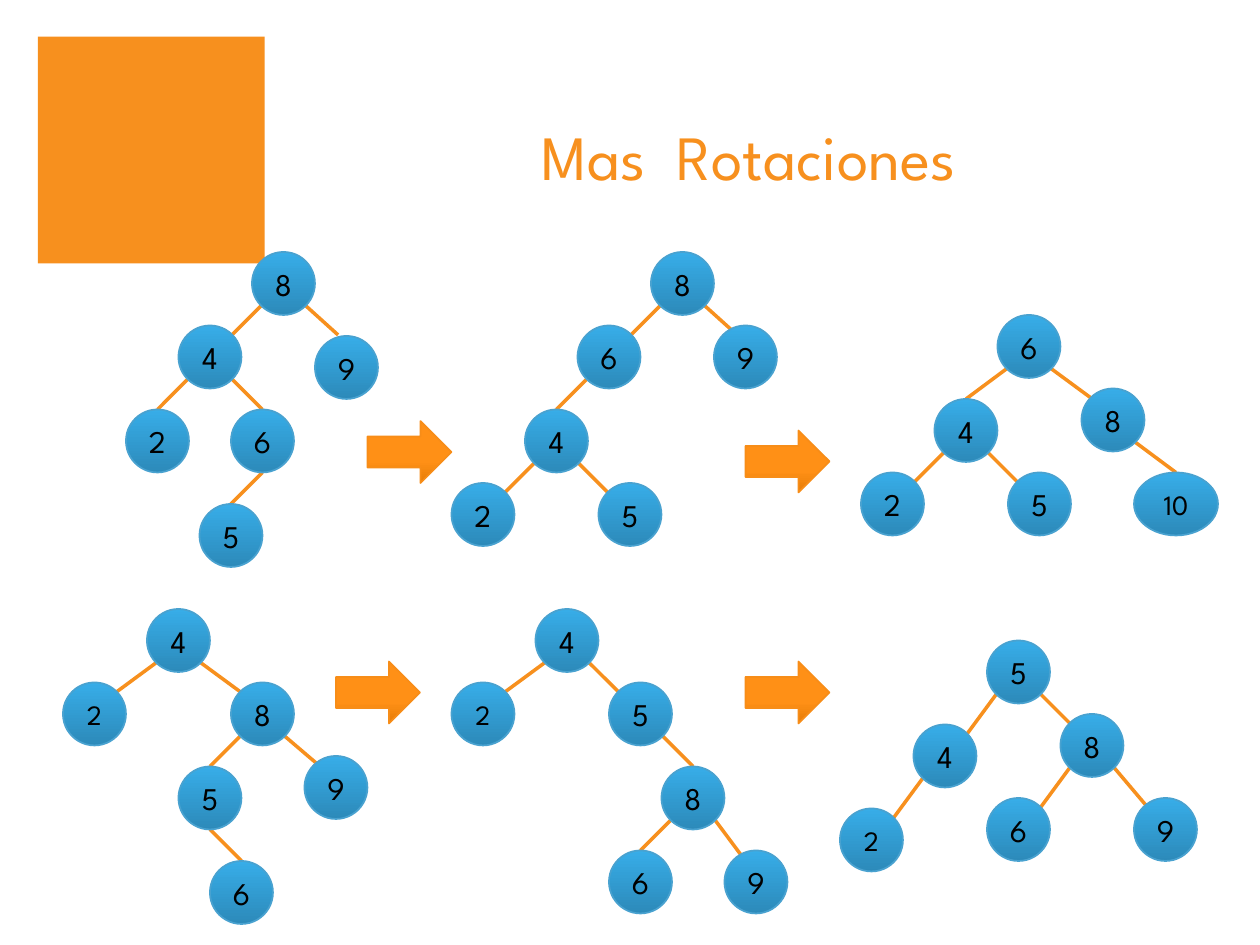
from dataclasses import dataclass

from lxml import etree
from pptx import Presentation
from pptx.dml.color import RGBColor
from pptx.enum.shapes import MSO_CONNECTOR, MSO_SHAPE
from pptx.enum.text import MSO_ANCHOR, PP_ALIGN
from pptx.oxml.ns import qn
from pptx.util import Pt

RECTANGLE, OVAL, RIGHT_ARROW = MSO_SHAPE.RECTANGLE, MSO_SHAPE.OVAL, MSO_SHAPE.RIGHT_ARROW
STRAIGHT = MSO_CONNECTOR.STRAIGHT
CENTER = PP_ALIGN.CENTER
MIDDLE, BOTTOM_ANCHOR = MSO_ANCHOR.MIDDLE, MSO_ANCHOR.BOTTOM

EMU_PER_PX = 7620
DIAMETER = 60
FONT = "League Spartan"
ORANGE = "F7901E"
BLACK = "000000"
NODE_LINE = "49A2D0"
ARROW_LINE = "F78D18"
NODE_STOPS = ((0, "2C8ABA"), (1, "37ADE8"))
ARROW_STOPS = ((0, "E67C07"), (0.35, "FF9016"))

TOP, BOTTOM = (0, -30), (0, 30)
UPPER_LEFT, UPPER_RIGHT = (-21, -21), (21, -21)
LOWER_LEFT, LOWER_RIGHT = (-21, 21), (21, 21)


@dataclass(frozen=True)
class Node:
    """A tree node with the point, relative to its centre, where its edge enters."""
    label: str
    left: int
    top: int
    entry: tuple[int, int] = TOP
    children: tuple["Node", ...] = ()
    width: int = DIAMETER
    size: int = 18
    exit_below: bool = False

    @property
    def center(self) -> tuple[int, int]:
        """Return the centre of the node."""
        return self.left + self.width // 2, self.top + DIAMETER // 2

    def exit_towards(self, child: "Node") -> tuple[int, int]:
        """Return the offset at which the edge to a child leaves."""
        if self.exit_below:
            return BOTTOM
        return LOWER_LEFT if child.center[0] < self.center[0] else LOWER_RIGHT


TREES = (
    Node("8", 240, 240, children=(
        Node("4", 170, 310, UPPER_RIGHT, (
            Node("2", 120, 390),
            Node("6", 220, 390, TOP, (Node("5", 190, 480),), exit_below=True))),
        Node("9", 300, 320, (-8, -31)))),
    Node("8", 620, 240, children=(
        Node("6", 550, 310, UPPER_RIGHT, (
            Node("4", 500, 390, TOP, (
                Node("2", 430, 460, UPPER_RIGHT),
                Node("5", 570, 460, UPPER_LEFT))),)),
        Node("9", 680, 310, (-8, -21)))),
    Node("6", 950, 300, children=(
        Node("4", 890, 380, TOP, (
            Node("2", 820, 450, UPPER_RIGHT),
            Node("5", 960, 450, UPPER_LEFT))),
        Node("8", 1030, 370, UPPER_LEFT, (
            Node("10", 1080, 450, width=80, size=16),)))),
    Node("4", 140, 580, children=(
        Node("2", 60, 650, UPPER_RIGHT, size=16),
        Node("8", 220, 650, UPPER_LEFT, (
            Node("5", 170, 730, TOP, (Node("6", 200, 820),), exit_below=True),
            Node("9", 290, 720, (-15, -20)))))),
    Node("4", 510, 580, children=(
        Node("2", 430, 650, UPPER_RIGHT, size=16),
        Node("5", 580, 650, UPPER_LEFT, (
            Node("8", 630, 730, TOP, (
                Node("6", 580, 810),
                Node("9", 690, 810, (-10, -20)))),)))),
    Node("5", 940, 610, children=(
        Node("4", 870, 690, UPPER_RIGHT, (
            Node("2", 800, 770, UPPER_RIGHT, size=16),)),
        Node("8", 1010, 680, UPPER_LEFT, (
            Node("6", 940, 760, UPPER_RIGHT),
            Node("9", 1080, 760, (-16, -20)))))),
)
ARROW_POSITIONS = ((350, 401), (710, 410), (320, 630), (710, 630))


def px(*lengths: int) -> list[int]:
    """Convert pixel lengths to EMU."""
    return [length * EMU_PER_PX for length in lengths]


def color(value: str) -> RGBColor:
    """Convert a hex string to a colour."""
    return RGBColor.from_string(value)


def write_text(shape, text: str, size: int, text_color: str, anchor) -> None:
    """Write one centred run into a shape."""
    frame = shape.text_frame
    frame.vertical_anchor = anchor
    paragraph = frame.paragraphs[0]
    paragraph.alignment = CENTER
    run = paragraph.add_run()
    run.text = text
    run.font.name = FONT
    run.font.size = Pt(size)
    run.font.color.rgb = color(text_color)


def add_gradient_shape(slide, kind, box: tuple[int, ...], stops, line_color: str):
    """Add a preset shape with an upward gradient and a thin outline."""
    shape = slide.shapes.add_shape(kind, *px(*box))
    shape.shadow.inherit = False
    shape.fill.gradient()
    shape.fill.gradient_angle = 90
    for stop, (position, stop_color) in zip(shape.fill.gradient_stops, stops):
        stop.position = position
        stop.color.rgb = color(stop_color)
    shape.line.color.rgb = color(line_color)
    shape.line.width = Pt(1)
    return shape


def add_edge(slide, parent: Node, child: Node) -> None:
    """Draw the line from a parent to its child."""
    offsets = (parent.exit_towards(child), child.entry)
    ends = [node.center[axis] + offset[axis]
            for node, offset in zip((parent, child), offsets) for axis in (0, 1)]
    connector = slide.shapes.add_connector(STRAIGHT, *px(*ends))
    connector.line.color.rgb = color(ORANGE)
    connector.line.width = Pt(2)
    etree.SubElement(connector._element.spPr, qn("a:effectLst"))


def add_tree(slide, node: Node) -> None:
    """Draw a node over its outgoing edges, then its subtrees."""
    for child in node.children:
        add_edge(slide, node, child)
    box = (node.left, node.top, node.width, DIAMETER)
    shape = add_gradient_shape(slide, OVAL, box, NODE_STOPS, NODE_LINE)
    write_text(shape, node.label, node.size, BLACK, MIDDLE)
    for child in node.children:
        add_tree(slide, child)


def add_header(slide) -> None:
    """Add the orange square and the title."""
    square = slide.shapes.add_shape(RECTANGLE, *px(36, 35, 216, 216))
    square.shadow.inherit = False
    square.fill.solid()
    square.fill.fore_color.rgb = color(ORANGE)
    square.line.fill.background()
    title = slide.shapes.add_textbox(*px(286, 40, 854, 150))
    title.text_frame.word_wrap = True
    write_text(title, "Mas  Rotaciones", 36, ORANGE, BOTTOM_ANCHOR)


def main() -> None:
    """Build and save the slide."""
    presentation = Presentation()
    presentation.slide_width, presentation.slide_height = px(1200, 900)
    slide = presentation.slides.add_slide(presentation.slide_layouts[6])
    add_header(slide)
    for tree in TREES:
        add_tree(slide, tree)
    for left, top in ARROW_POSITIONS:
        add_gradient_shape(slide, RIGHT_ARROW, (left, top, 80, 59), ARROW_STOPS, ARROW_LINE)
    presentation.save("out.pptx")


if __name__ == "__main__":
    main()
